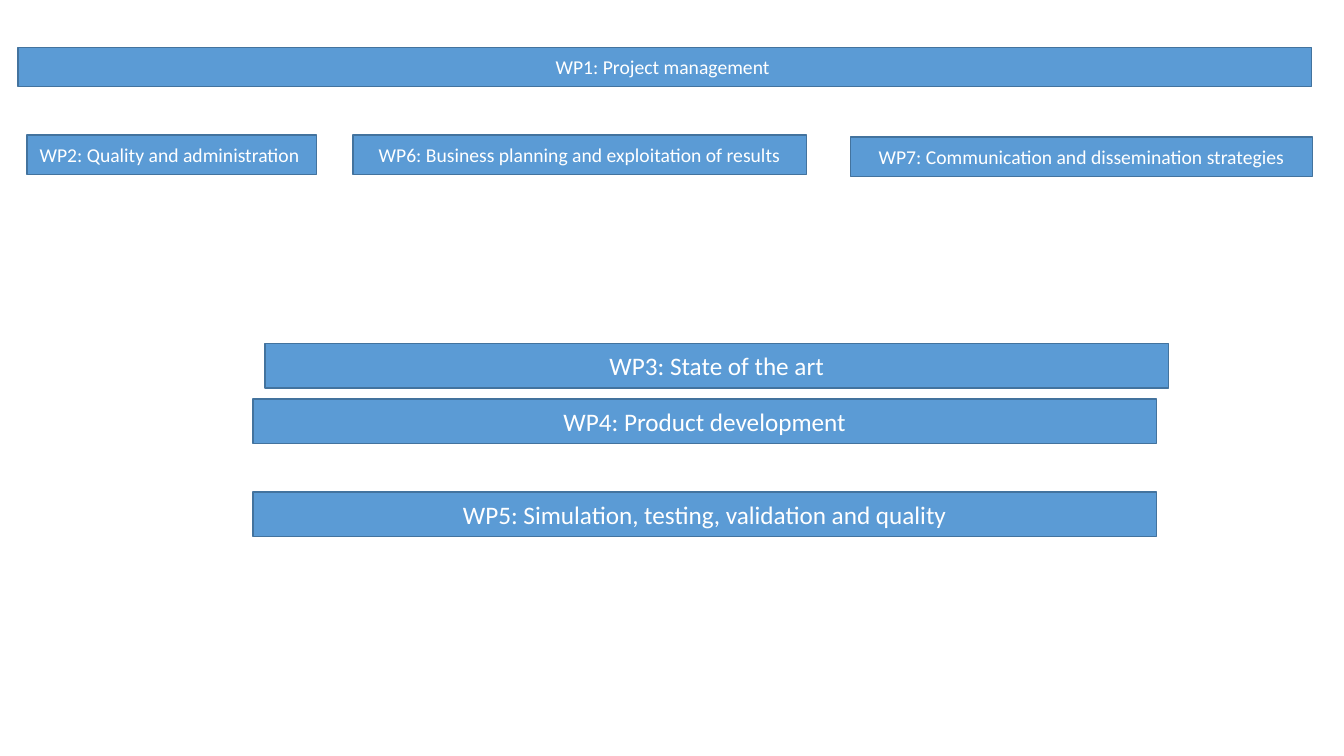
from dataclasses import dataclass

from pptx import Presentation
from pptx.dml.color import RGBColor
from pptx.enum.shapes import MSO_SHAPE
from pptx.enum.text import MSO_ANCHOR, PP_ALIGN
from pptx.util import Inches, Pt


@dataclass(frozen=True)
class Theme:
    fill: RGBColor = RGBColor.from_string("5B9BD5")
    edge: RGBColor = RGBColor.from_string("43739E")
    ink: RGBColor = RGBColor.from_string("FFFFFF")
    font: str = "Calibri"
    small: int = 14
    large: int = 18
    line: int = 1


def write(frame, text, *, font, size, color, align=PP_ALIGN.CENTER):
    frame.word_wrap = True
    frame.vertical_anchor = MSO_ANCHOR.MIDDLE
    para = frame.paragraphs[0]
    para.alignment = align
    run = para.add_run()
    run.text = text
    run.font.name = font
    run.font.size = Pt(size)
    run.font.color.rgb = color


class Board:
    def __init__(self, deck, theme):
        self.theme = theme
        self.slide = deck.slides.add_slide(deck.slide_layouts[6])
        self.col = deck.slide_width / 100
        self.row = deck.slide_height / 100

    def bar(self, text, left, top, width, height, size):
        theme = self.theme
        box = self.slide.shapes.add_shape(
            MSO_SHAPE.RECTANGLE,
            round(left * self.col),
            round(top * self.row),
            round(width * self.col),
            round(height * self.row),
        )
        box.shadow.inherit = False
        box.fill.solid()
        box.fill.fore_color.rgb = theme.fill
        box.line.color.rgb = theme.edge
        box.line.width = Pt(theme.line)
        write(box.text_frame, text, font=theme.font, size=size, color=theme.ink)


def main():
    deck = Presentation()
    deck.slide_width = Inches(13.33)
    deck.slide_height = Inches(7.5)
    theme = Theme()
    board = Board(deck, theme)

    support = [
        ("WP1: Project management ", 1.35, 6.27, 96.25),
        ("WP2: Quality and administration ", 2.02, 17.87, 21.53),
        ("WP6: Business planning and exploitation of results", 26.25, 17.87, 33.75),
        ("WP7: Communication and dissemination strategies", 63.3, 18.13, 34.35),
    ]
    for text, left, top, width in support:
        board.bar(text, left, top, width, 5.2, theme.small)

    core = [
        ("WP3: State of the art", 19.73, 45.47),
        ("WP4: Product development", 18.83, 52.8),
        ("WP5: Simulation, testing, validation and quality", 18.83, 65.07),
    ]
    for text, left, top in core:
        board.bar(text, left, top, 67.2, 5.87, theme.large)

    deck.save("out.pptx")


if __name__ == "__main__":
    main()
